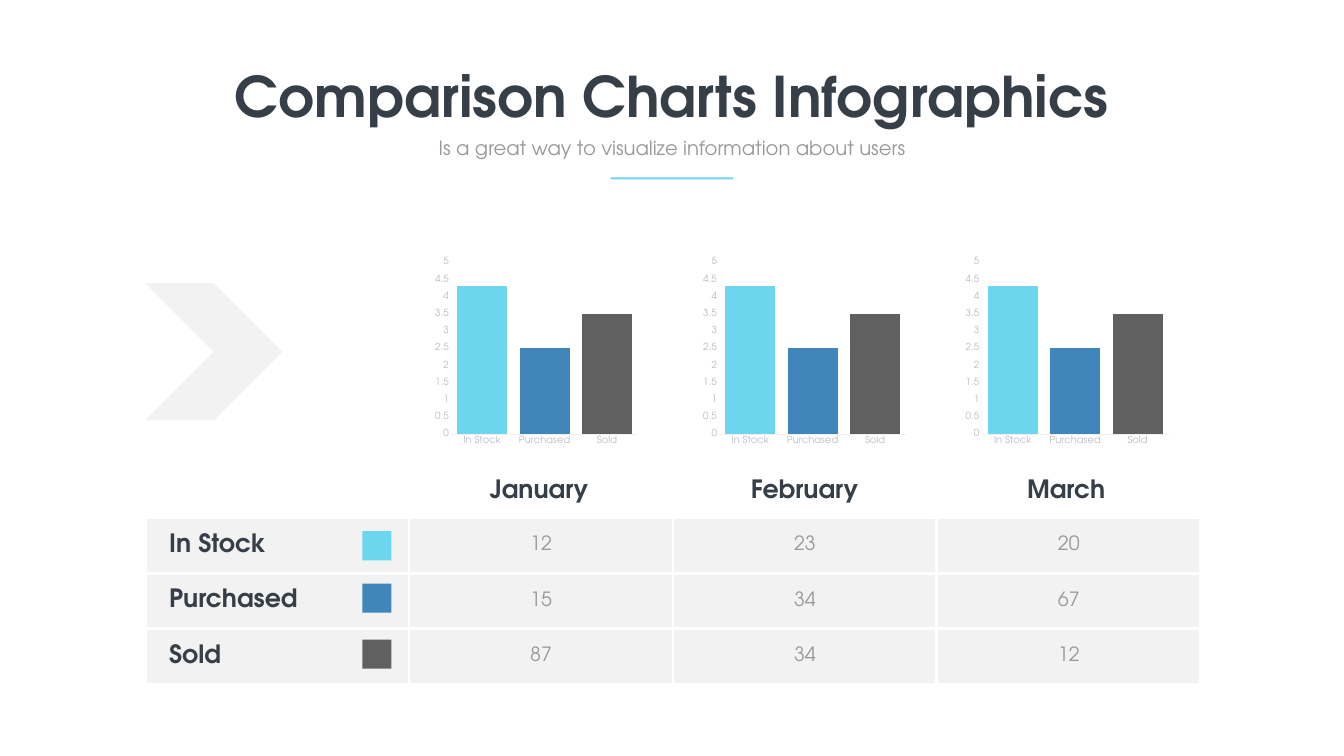
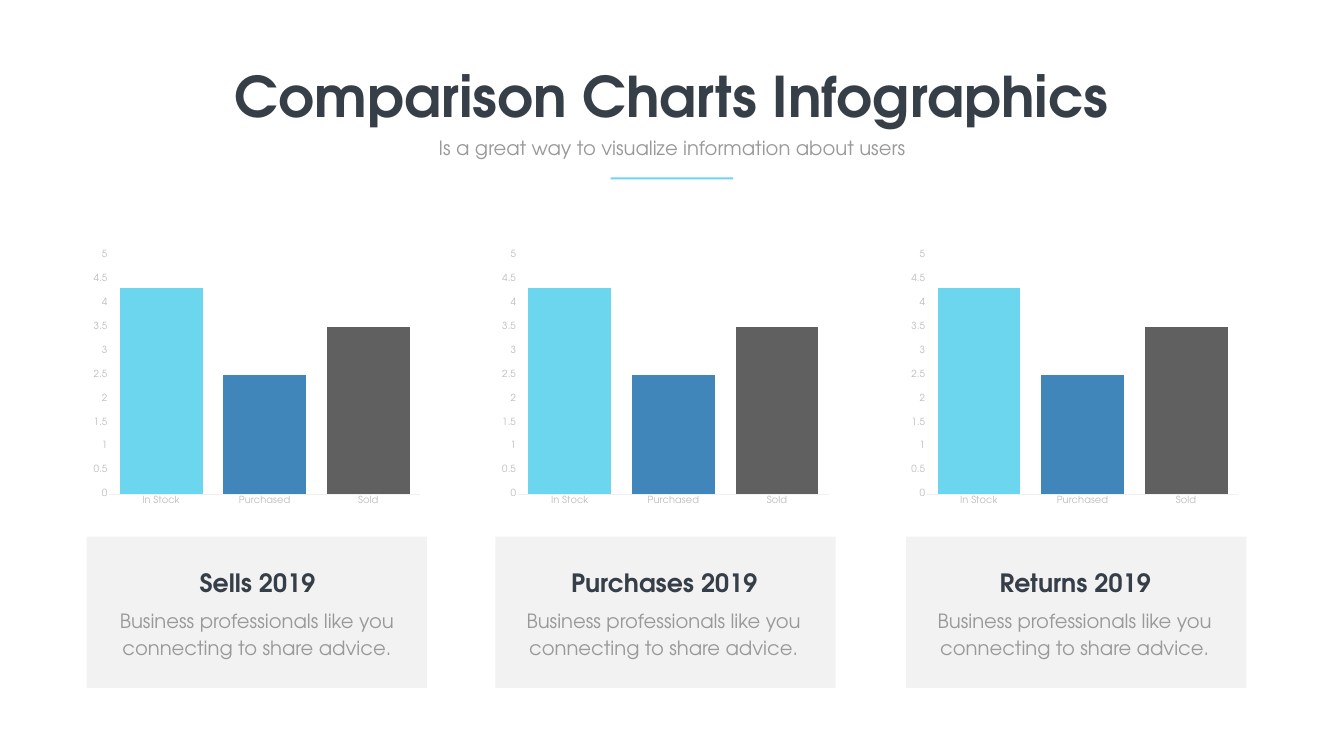
from lxml import etree
from pptx import Presentation
from pptx.chart.data import CategoryChartData
from pptx.dml.color import RGBColor
from pptx.enum.chart import XL_CHART_TYPE, XL_TICK_MARK
from pptx.enum.shapes import MSO_SHAPE
from pptx.enum.text import MSO_ANCHOR, PP_ALIGN
from pptx.oxml.ns import qn
from pptx.util import Cm, Pt

RECTANGLE = MSO_SHAPE.RECTANGLE
CHEVRON = MSO_SHAPE.CHEVRON
CENTER = PP_ALIGN.CENTER
LEFT = PP_ALIGN.LEFT
MIDDLE = MSO_ANCHOR.MIDDLE
COLUMNS = XL_CHART_TYPE.COLUMN_CLUSTERED
NO_TICK = XL_TICK_MARK.NONE

FONT = "TeX Gyre Adventor"
DARK = "363E48"
GREY = "999999"
AXIS_TEXT = "BDBDBD"
AXIS_LINE = "F0F0F0"
PANEL = "F2F2F2"
WHITE = "FFFFFF"
CYAN = "6CD6EE"
SERIES_COLORS = [CYAN, "4186BA", "5F605F"]
CATEGORIES = ["In Stock", "Purchased", "Sold"]
CHART_VALUES = [4.3, 2.5, 3.5]
SLIDE_WIDTH = 67.74

rgb = RGBColor.from_string


def write_text(frame, text, size, color, bold=False, alignment=CENTER):
    paragraph = frame.paragraphs[0]
    paragraph.alignment = alignment
    run = paragraph.add_run()
    run.text = text
    run.font.name = FONT
    run.font.size = Pt(size)
    run.font.bold = bold
    run.font.color.rgb = rgb(color)
    return paragraph


def add_filled(slide, kind, left, top, width, height, color):
    shape = slide.shapes.add_shape(kind, Cm(left), Cm(top), Cm(width), Cm(height))
    shape.shadow.inherit = False
    shape.fill.solid()
    shape.fill.fore_color.rgb = rgb(color)
    shape.line.fill.background()


presentation = Presentation()
presentation.slide_width = Cm(SLIDE_WIDTH)
presentation.slide_height = Cm(38.1)
blank = presentation.slide_layouts[6]
table_slide = presentation.slides.add_slide(blank)
card_slide = presentation.slides.add_slide(blank)

headings = [
    ("Comparison Charts Infographics", 2.97, 44.98, 3.68, 80, DARK, True, False),
    ("Is a great way to visualize information about users", 6.73, 24.28, 1.45, 28, GREY, False, True),
]
for slide in (table_slide, card_slide):
    slide.background.fill.solid()
    slide.background.fill.fore_color.rgb = rgb(WHITE)
    for text, top, width, height, size, color, bold, wrap in headings:
        box = slide.shapes.add_textbox(Cm((SLIDE_WIDTH - width) / 2), Cm(top), Cm(width), Cm(height))
        box.text_frame.word_wrap = wrap
        write_text(box.text_frame, text, size, color, bold)
    add_filled(slide, RECTANGLE, 30.78, 8.94, 6.17, 0.1, CYAN)

stock = [["12", "23", "20"], ["15", "34", "67"], ["87", "34", "12"]]
frame = table_slide.shapes.add_table(3, 4, Cm(7.32), Cm(26.09), Cm(53.2), Cm(8.4))
table = frame.table
table.first_row = False
table.horz_banding = False
for column in table.columns:
    column.width = Cm(13.3)
for row_index, row in enumerate(table.rows):
    row.height = Cm(2.8)
    for column_index, text in enumerate([CATEGORIES[row_index]] + stock[row_index]):
        cell = table.cell(row_index, column_index)
        cell.vertical_anchor = MIDDLE
        cell.margin_left = cell.margin_right = Cm(0.23)
        cell.margin_top = cell.margin_bottom = Cm(0.1)
        properties = cell._tc.get_or_add_tcPr()
        for edge in ("a:lnL", "a:lnR", "a:lnT", "a:lnB"):
            border = etree.SubElement(properties, qn(edge), w=str(Pt(4.5)))
            fill = etree.SubElement(border, qn("a:solidFill"))
            etree.SubElement(fill, qn("a:srgbClr"), val=WHITE)
        cell.fill.solid()
        cell.fill.fore_color.rgb = rgb(PANEL)
        if column_index == 0:
            cell.margin_left = Cm(1.2)
            write_text(cell.text_frame, text, 36, DARK, True, LEFT)
        else:
            write_text(cell.text_frame, text, 28, GREY)

for top, color in zip([26.77, 29.41, 32.23], SERIES_COLORS):
    add_filled(table_slide, RECTANGLE, 18.26, top, 1.47, 1.47, color)
add_filled(table_slide, CHEVRON, 7.32, 14.27, 6.91, 6.91, PANEL)

for month, left in [("January", 22.38), ("February", 35.76), ("March", 48.95)]:
    box = table_slide.shapes.add_textbox(Cm(left), Cm(23.75), Cm(9.58), Cm(1.8))
    box.text_frame.word_wrap = True
    write_text(box.text_frame, month, 36, DARK, True)

cards = [("Sells 2019", 4.37, 4.37), ("Purchases 2019", 24.97, 24.87), ("Returns 2019", 45.67, 45.59)]
for title, card_left, text_left in cards:
    add_filled(card_slide, RECTANGLE, card_left, 27.05, 17.15, 7.62, PANEL)
    box = card_slide.shapes.add_textbox(Cm(text_left), Cm(30.4), Cm(17.15), Cm(3))
    box.text_frame.word_wrap = True
    paragraph = write_text(
        box.text_frame, "Business professionals like you connecting to share advice.", 28, GREY)
    paragraph.line_spacing = Pt(38.6)
    box = card_slide.shapes.add_textbox(Cm(text_left + 3.02), Cm(28.45), Cm(11.18), Cm(1.8))
    box.text_frame.word_wrap = True
    write_text(box.text_frame, title, 36, DARK, True)

chart_rows = [
    (table_slide, [21.72, 35.23, 48.46], 12.78, 10.67, 9.88),
    (card_slide, [4.37, 24.97, 45.59], 12.34, 17.15, 13.41),
]
chart_data = CategoryChartData()
chart_data.categories = CATEGORIES
chart_data.add_series("Series 1", CHART_VALUES)
for slide, lefts, top, width, height in chart_rows:
    for left in lefts:
        chart = slide.shapes.add_chart(
            COLUMNS, Cm(left), Cm(top), Cm(width), Cm(height), chart_data).chart
        chart.has_legend = False
        chart.has_title = False
        chart.font.name = FONT
        chart.font.size = Pt(14)
        chart.font.color.rgb = rgb(GREY)
        for axis in (chart.category_axis, chart.value_axis):
            axis.has_major_gridlines = False
            axis.major_tick_mark = NO_TICK
            axis.minor_tick_mark = NO_TICK
            axis.tick_labels.font.name = FONT
            axis.tick_labels.font.size = Pt(14)
            axis.tick_labels.font.color.rgb = rgb(AXIS_TEXT)
        chart.category_axis.format.line.color.rgb = rgb(AXIS_LINE)
        chart.category_axis.format.line.width = Pt(0.75)
        chart.value_axis.format.line.fill.background()
        chart.value_axis.minimum_scale = 0
        chart.value_axis.maximum_scale = 5
        chart.value_axis.major_unit = 0.5
        plot = chart.plots[0]
        plot.vary_by_categories = False
        plot.gap_width = 25
        plot.overlap = -14
        series = plot.series[0]
        series.format.fill.solid()
        series.format.fill.fore_color.rgb = rgb(CYAN)
        for index, color in enumerate(SERIES_COLORS[1:], 1):
            point_fill = series.points[index].format.fill
            point_fill.solid()
            point_fill.fore_color.rgb = rgb(color)

presentation.save("out.pptx")
